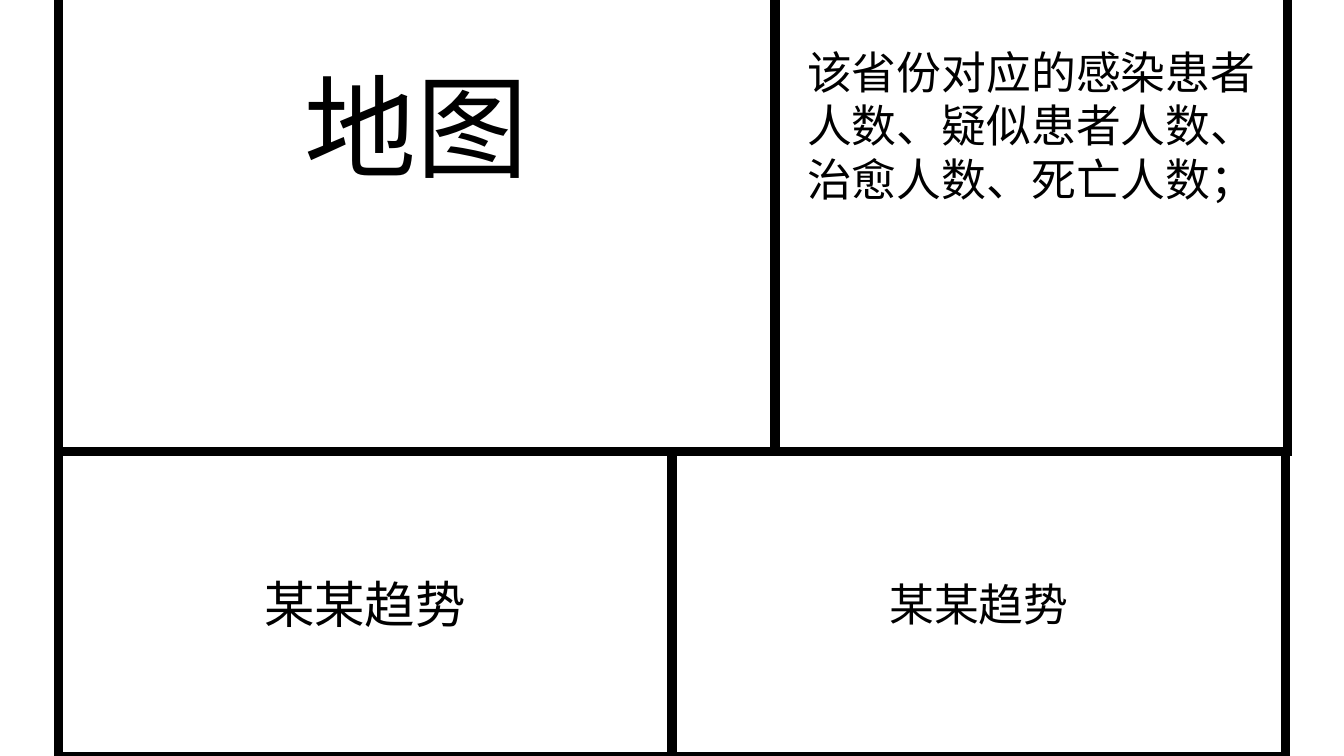
"""Build a dashboard wireframe with four bordered panels."""
from dataclasses import dataclass

from lxml.etree import SubElement
from pptx import Presentation
from pptx.dml.color import RGBColor
from pptx.enum.shapes import MSO_SHAPE as Shape
from pptx.enum.text import MSO_ANCHOR as Anchor, PP_ALIGN as Align
from pptx.oxml.ns import qn
from pptx.slide import Slide
from pptx.util import Inches, Pt

BLACK = RGBColor(0x00, 0x00, 0x00)
WHITE = RGBColor(0xFF, 0xFF, 0xFF)
FONT = "Noto Sans CJK SC"
LEFT, TOP, SPLIT, BASE = 0.58, -2, 4.48, 7.5


@dataclass
class Panel:
    text: str
    left: float
    top: float
    width: float
    base: float
    size: int


PANELS = [
    Panel("地图", LEFT, TOP, 7.1, SPLIT, 80),
    Panel("某某趋势", LEFT, SPLIT, 6.08, BASE, 36),
    Panel("某某趋势", 6.67, SPLIT, 6.08, BASE, 32),
    Panel("该省份对应的感染患者人数、疑似患者人数、治愈人数、死亡人数；",
          7.69, TOP, 5.08, SPLIT, 32),
]


def draw(slide: Slide, panel: Panel) -> None:
    box = slide.shapes.add_shape(
        Shape.RECTANGLE, Inches(panel.left), Inches(panel.top),
        Inches(panel.width), Inches(panel.base - panel.top))
    box.shadow.inherit = False
    box.fill.solid()
    box.fill.fore_color.rgb = WHITE
    box.line.color.rgb = BLACK
    box.line.width = Pt(6)
    SubElement(box.line._get_or_add_ln(), qn("a:miter"), lim="800000")

    frame = box.text_frame
    frame.word_wrap = True
    frame.vertical_anchor = Anchor.MIDDLE
    frame.text = panel.text
    line = frame.paragraphs[0]
    line.alignment = Align.CENTER
    run = line.runs[0]
    run.font.size = Pt(panel.size)
    run.font.name = FONT
    run.font.color.rgb = BLACK
    SubElement(run.font._element, qn("a:ea"), typeface=FONT)


def main() -> None:
    deck = Presentation()
    deck.slide_width, deck.slide_height = Inches(13.33), Inches(7.5)
    slide = deck.slides.add_slide(deck.slide_layouts[6])
    for panel in PANELS:
        draw(slide, panel)
    deck.save("out.pptx")


if __name__ == "__main__":
    main()
